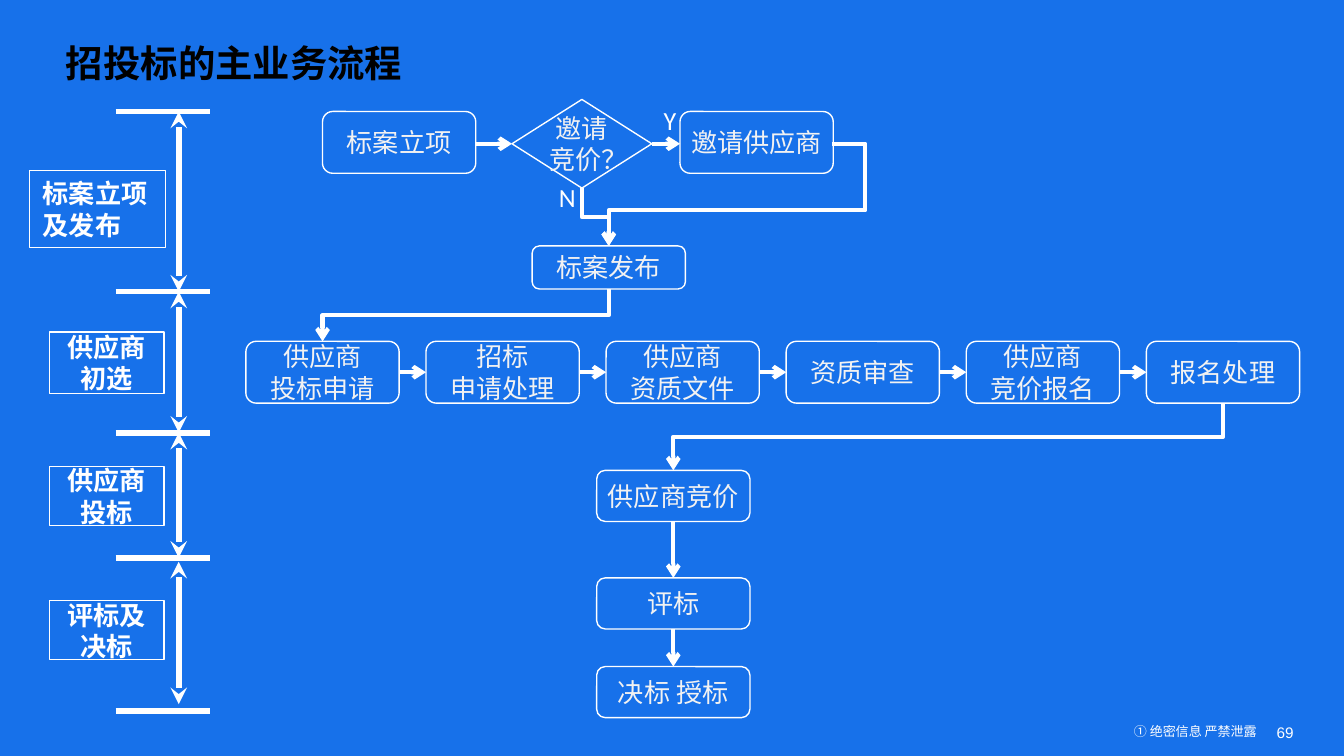
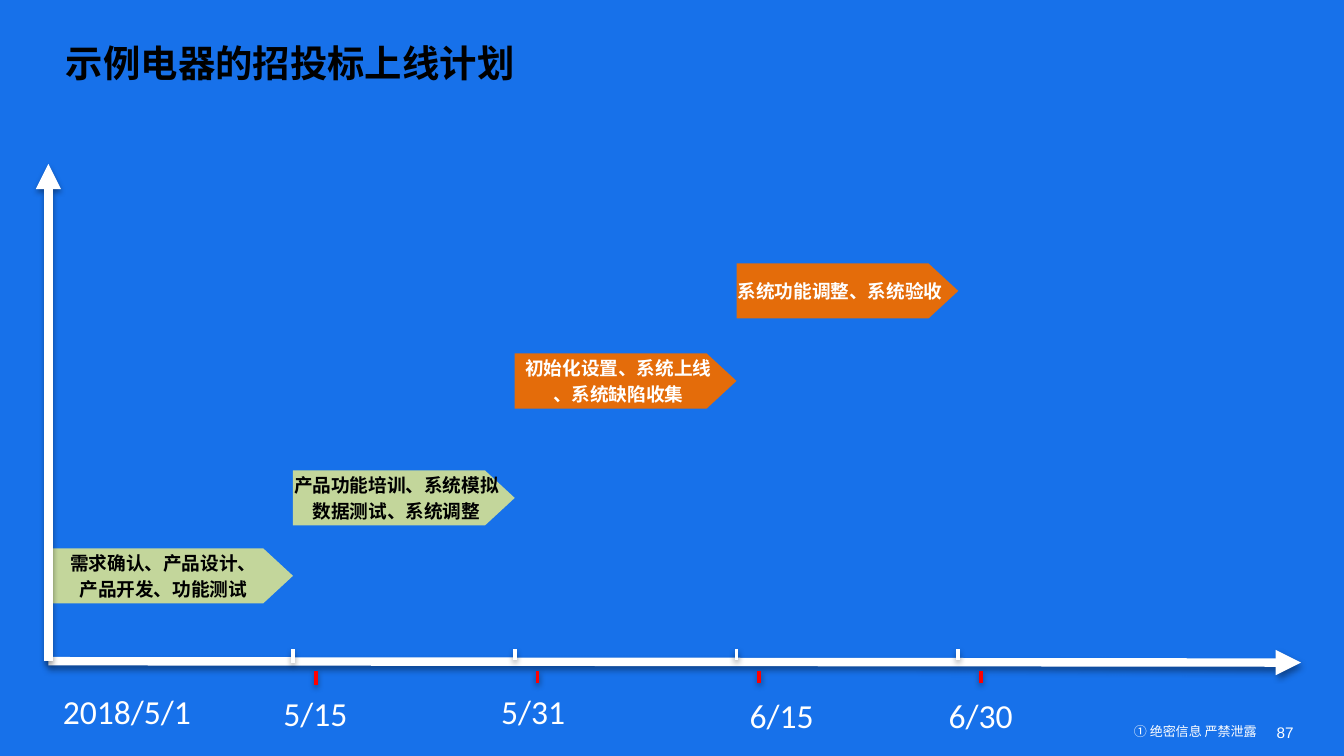
"""Build the bidding process flow slide and the bidding launch plan slide."""
from lxml import etree
from pptx import Presentation
from pptx.dml.color import RGBColor
from pptx.enum.shapes import MSO_CONNECTOR, MSO_SHAPE
from pptx.enum.text import MSO_ANCHOR, MSO_AUTO_SIZE, PP_ALIGN
from pptx.oxml.ns import qn
from pptx.util import Pt

PX = 9144
COLORS = {"bg": "1771EA", "white": "FFFFFF", "soft": "F2F2F2", "black": "000000",
          "green": "C3D69B", "orange": "E46C0A", "red": "FF0000"}
CJK, ARIAL, CALIBRI = "Noto Sans CJK SC", "Arial", "Calibri"
LEFT, CENTER, RIGHT = PP_ALIGN.LEFT, PP_ALIGN.CENTER, PP_ALIGN.RIGHT
TOP, MIDDLE = MSO_ANCHOR.TOP, MSO_ANCHOR.MIDDLE
ROUND, RECT = MSO_SHAPE.ROUNDED_RECTANGLE, MSO_SHAPE.RECTANGLE
DIAMOND, PLATE = MSO_SHAPE.FLOWCHART_DECISION, MSO_SHAPE.PENTAGON
STRAIGHT, ELBOW = MSO_CONNECTOR.STRAIGHT, MSO_CONNECTOR.ELBOW


def write(sp, text, size, color, font=CJK, bold=False, align=CENTER,
          anchor=MIDDLE, inset=(10, 5), wrap=False, gap=0):
    tf = sp.text_frame
    tf.text = text
    tf.word_wrap = wrap
    tf.auto_size = MSO_AUTO_SIZE.NONE
    tf.vertical_anchor = anchor
    tf.margin_left = tf.margin_right = inset[0] * PX
    tf.margin_top = tf.margin_bottom = inset[1] * PX
    for i, p in enumerate(tf.paragraphs):
        p.alignment = align
        if i and gap:
            p.space_before = Pt(gap)
        for r in p.runs:
            r.font.size = Pt(size)
            r.font.bold = bold
            r.font.name = font
            r.font.color.rgb = RGBColor.from_string(COLORS[color])
            etree.SubElement(r.font._element, qn("a:ea"), typeface=CJK)


def connect(s, ends, width, color="white", head=None, tail=None,
            kind=STRAIGHT, shadow=False):
    c = s.shapes.add_connector(kind, *[v * PX for v in ends])
    c.line.width = Pt(width)
    c.line.color.rgb = RGBColor.from_string(COLORS[color])
    ln = c.line._get_or_add_ln()
    for tag, arrow in (("a:headEnd", head), ("a:tailEnd", tail)):
        if arrow:
            etree.SubElement(ln, qn(tag), type=arrow)
    effects = etree.SubElement(c._element.spPr, qn("a:effectLst"))
    if shadow:
        outer = etree.SubElement(effects, qn("a:outerShdw"), blurRad=str(Pt(3.1)),
                                 dist=str(Pt(1.6)), dir="5400000", rotWithShape="0")
        black = etree.SubElement(outer, qn("a:srgbClr"), val=COLORS["black"])
        etree.SubElement(black, qn("a:alpha"), val="38000")
    return c


prs = Presentation()
prs.slide_width, prs.slide_height = 1000 * PX, 1125 * PX // 2
fill = prs.slide_master.background.fill
fill.solid()
fill.fore_color.rgb = RGBColor.from_string(COLORS["bg"])

slides = []
for title, number in (("招投标的主业务流程", "69"), ("示例电器的招投标上线计划", "87")):
    s = prs.slides.add_slide(prs.slide_layouts[5])
    sp = s.shapes.title
    sp.left, sp.top, sp.width, sp.height = 49 * PX, 30 * PX, 919 * PX, 64 * PX
    write(sp, title, 20, "black", bold=True, align=LEFT, anchor=TOP,
          inset=(0, 0), wrap=True)
    sp = s.shapes.add_textbox(950 * PX, 538 * PX, 50 * PX, 14 * PX)
    write(sp, number, 8.2, "white", ARIAL, align=LEFT, inset=(0, 0), wrap=True)
    sp = s.shapes.add_textbox(759 * PX, 537 * PX, 177 * PX, 14 * PX)
    write(sp, "① 绝密信息 严禁泄露", 7, "white", align=RIGHT, inset=(1, 1), wrap=True)
    slides.append(s)
flow, plan = slides

nodes = [
    (ROUND, 240, 83, 114, 46, "标案立项", ARIAL),
    (DIAMOND, 381, 74, 104, 66, "邀请\n竞价？", ARIAL),
    (ROUND, 506, 83, 114, 46, "邀请供应商", CJK),
    (ROUND, 396, 183, 114, 32, "标案发布", ARIAL),
    (ROUND, 444, 350, 114, 38, "供应商竞价", CJK),
    (ROUND, 444, 430, 114, 38, "评标", CJK),
    (ROUND, 444, 496, 114, 38, "决标 授标", CJK),
]
steps = [("供应商\n投标申请", ARIAL), ("招标\n申请处理", ARIAL), ("供应商\n资质文件", ARIAL),
         ("资质审查", ARIAL), ("供应商\n竞价报名", CJK), ("报名处理", CJK)]
for i, (text, font) in enumerate(steps):
    nodes.append((ROUND, 183 + 134 * i, 254, 114, 46, text, font))
stages = [
    (RECT, 22, 127, 101, 57, "标案立项及发布", CALIBRI),
    (RECT, 37, 247, 85, 46, "供应商初选", CALIBRI),
    (RECT, 37, 347, 85, 44, "供应商投标", CALIBRI),
    (RECT, 37, 447, 85, 44, "评标及决标", CALIBRI),
]
for kind, x, y, w, h, text, font in nodes + stages:
    sp = flow.shapes.add_shape(kind, x * PX, y * PX, w * PX, h * PX)
    sp.shadow.inherit = False
    sp.fill.background()
    sp.line.color.rgb = RGBColor.from_string(COLORS["white"])
    sp.line.width = Pt(0.75)
    stage = kind == RECT
    write(sp, text, 14, "white" if stage else "soft", font, bold=stage, wrap=stage,
          align=LEFT if text == "标案立项及发布" else CENTER)
    if kind == DIAMOND:
        p = sp.text_frame.paragraphs[1]
        p._p.get_or_add_pPr().set("marL", str(10 * PX))

for x, y, text in ((484, 74, "Y"), (406, 132, "N")):
    sp = flow.shapes.add_textbox(x * PX, y * PX, 23 * PX, 30 * PX)
    write(sp, text, 14, "white", CALIBRI, wrap=True)

arrows = [(354, 107, 381, 107), (485, 107, 506, 107),
          (501, 388, 501, 430), (501, 468, 501, 496)]
arrows += [(297 + 134 * i, 277, 317 + 134 * i, 277) for i in range(len(steps) - 1)]
for ends in arrows:
    connect(flow, ends, 2.25, tail="arrow")

for x1, y1, x2, y2 in ((433, 140, 453, 183), (453, 215, 240, 254), (910, 300, 501, 350)):
    c = connect(flow, (x1, y1, x2, y2), 2.25, tail="arrow", kind=ELBOW)
    w, h = y2 - y1, abs(x2 - x1)
    c.left, c.top = (x1 + x2 - w) * PX // 2, (y1 + y2 - h) * PX // 2
    c.width, c.height = w * PX, h * PX
    xfrm = c._element.spPr.find(qn("a:xfrm"))
    xfrm.set("rot", "16200000" if x2 > x1 else "5400000")
    xfrm.set("flipH", "1" if x2 > x1 else "0")

c = connect(flow, (619, 107, 453, 183), 2.25, tail="arrow", kind=ELBOW)
geom = c._element.spPr.find(qn("a:prstGeom"))
geom.set("prst", "bentConnector4")
for name, value in (("adj1", -15000), ("adj2", 65200)):
    etree.SubElement(geom.find(qn("a:avLst")), qn("a:gd"), name=name, fmla=f"val {value}")

for y in (83, 217, 322, 415, 529):
    connect(flow, (86, y, 156, y), 3)
for y1, y2 in ((83, 217), (217, 322), (322, 415), (418, 524)):
    connect(flow, (133, y1, 133, y2), 3, head="stealth", tail="stealth")

phases = [
    (36, 408, 182, "green", "black", "需求确认、产品设计、\n产品开发、功能测试"),
    (218, 350, 165, "green", "black", "产品功能培训、系统模拟\n数据测试、系统调整"),
    (383, 263, 165, "orange", "white", "初始化设置、系统上线\n、系统缺陷收集"),
    (548, 196, 165, "orange", "white", "系统功能调整、系统验收"),
]
for x, y, w, color, ink, text in phases:
    sp = plan.shapes.add_shape(PLATE, x * PX, y * PX, w * PX, 41 * PX)
    sp.adjustments[0] = 0.54
    sp.shadow.inherit = False
    sp.fill.solid()
    sp.fill.fore_color.rgb = RGBColor.from_string(COLORS[color])
    sp.line.fill.background()
    write(sp, text, 10, ink, bold=True, inset=(0, 0), gap=2)

for ends in ((36, 492, 968, 493), (36, 492, 36, 122)):
    connect(plan, ends, 4.5, tail="triangle", shadow=True)
for i in range(4):
    x = 218 + 165 * i
    extra = 2 if i == 0 else 0
    connect(plan, (x, 483, x, 491 + extra), 2, shadow=True)
    connect(plan, (x + 17, 499, x + 17, 508 + extra), 2, "red", shadow=True)

dates = [(37, 509, 117, "2018/5/1"), (201, 511, 68, "5/15"), (363, 509, 68, "5/31"),
         (548, 512, 68, "6/15"), (696, 512, 68, "6/30")]
for x, y, w, text in dates:
    sp = plan.shapes.add_textbox(x * PX, y * PX, w * PX, 40 * PX)
    write(sp, text, 18, "white", CALIBRI, align=LEFT, anchor=TOP)

prs.save("out.pptx")
